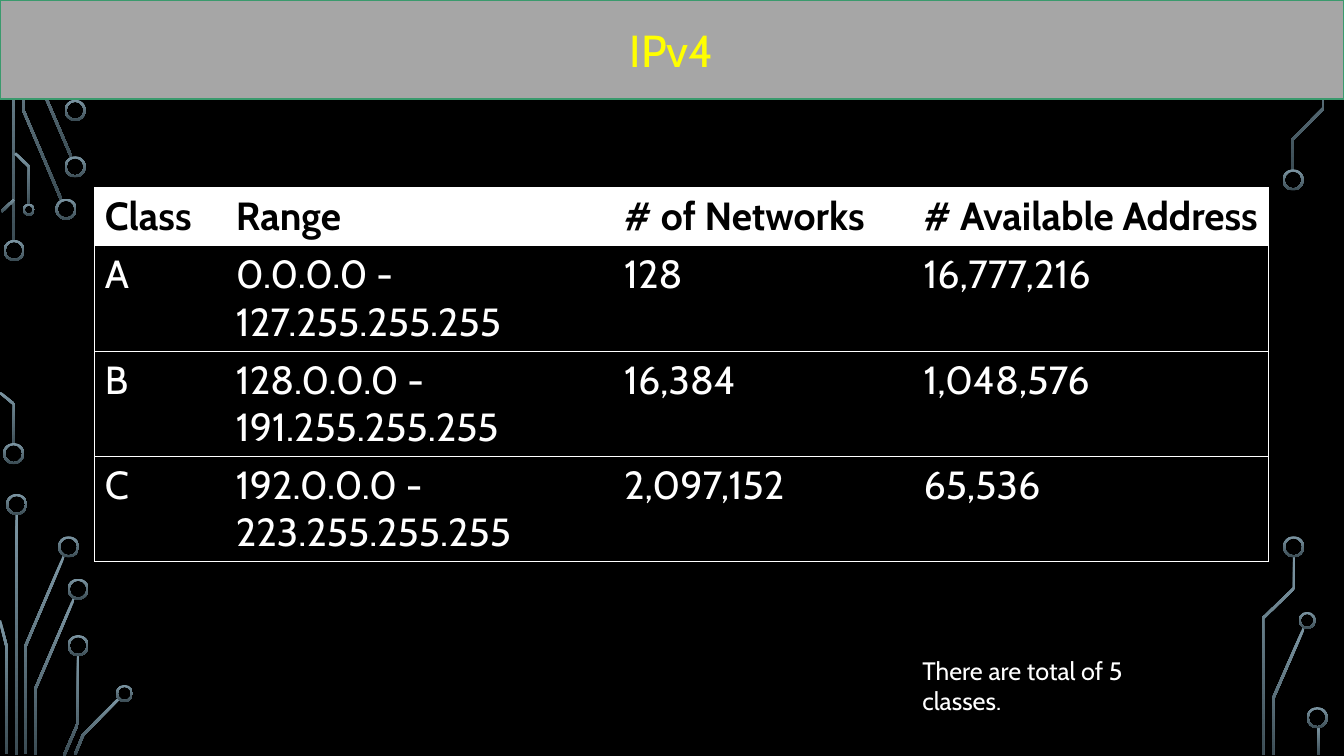
from math import hypot

from lxml.etree import SubElement
from pptx import Presentation
from pptx.dml.color import RGBColor
from pptx.enum.shapes import MSO_SHAPE
from pptx.enum.text import MSO_ANCHOR, PP_ALIGN
from pptx.oxml.ns import qn
from pptx.util import Inches, Pt

THEME = {
    "font": "Cabin", "title_size": 32, "table_size": 28, "note_size": 18,
    "dark": "000000", "light": "FFFFFF", "title": "FFFF00",
    "band": "A6A6A6", "band_line": "3A9A6D",
    "circuit": ("7C96A3", "3B4C54"),
}
UNIT = Inches(0.01)  # the drawing grid has 100 units to the inch
TRACE_WIDTH = 2.5
RING_WIDTH = 2


def add_run(paragraph, text, size, color, bold=False):
    run = paragraph.add_run()
    run.text = text
    run.font.name = THEME["font"]
    run.font.size = Pt(size)
    run.font.bold = bold
    run.font.color.rgb = RGBColor.from_string(color)


def paint_circuit(shape):
    shape.shadow.inherit = False
    shape.line.fill.background()
    shape.fill.gradient()
    shape.fill.gradient_angle = 270
    for stop, color in zip(shape.fill.gradient_stops, THEME["circuit"]):
        stop.color.rgb = RGBColor.from_string(color)


presentation = Presentation()
presentation.slide_width = Inches(13.33)
presentation.slide_height = Inches(7.5)
slide = presentation.slides.add_slide(presentation.slide_layouts[6])
slide.background.fill.solid()
slide.background.fill.fore_color.rgb = RGBColor.from_string(THEME["dark"])

# Circuit traces: centre lines, widened to bands with mitred corners
traces = [
    [(13.5, 1), (13.5, 240)],
    [(23, 1), (23, 109), (61, 198.5)],
    [(32.5, 1), (32.5, 66.5), (71, 156.5)],
    [(61, 0.5), (74.5, 33), (74.5, 100)],
    [(1.5, 210), (14, 198)],
    [(0, 389.5), (14, 401), (14, 441)],
    [(15, 152), (29, 165.5), (29, 203)],
    [(16.5, 510), (16.5, 749)],
    [(25.5, 748), (25.5, 640.5), (63.5, 551.5)],
    [(0, 615.5), (6.5, 641), (6.5, 748)],
    [(35.5, 749), (35.5, 682.5), (73.5, 593.5)],
    [(63.5, 749.5), (77.5, 717), (77.5, 650)],
    [(74.5, 748.5), (82.5, 729), (118, 693)],
    [(1262.5, 749), (1262.5, 693.5), (1293, 623.5)],
    [(1282, 169), (1282, 138.5), (1312.5, 107.5), (1312.5, 1)],
    [(1252.5, 749), (1252.5, 613.5), (1283.5, 583.5), (1283.5, 552)],
    [(1307.5, 721), (1307.5, 749)],
]
for trace in traces:
    normals = []
    for (x1, y1), (x2, y2) in zip(trace, trace[1:]):
        length = hypot(x2 - x1, y2 - y1)
        normals.append(((y1 - y2) / length, (x2 - x1) / length))
    one_side, other_side = [], []
    for (x, y), before, after in zip(trace, normals[:1] + normals, normals + normals[-1:]):
        reach = TRACE_WIDTH / 2 / (1 + before[0] * after[0] + before[1] * after[1])
        dx, dy = (before[0] + after[0]) * reach, (before[1] + after[1]) * reach
        one_side.append(((x + dx) * UNIT, (y + dy) * UNIT))
        other_side.append(((x - dx) * UNIT, (y - dy) * UNIT))
    outline = one_side + other_side[::-1]
    builder = slide.shapes.build_freeform(*outline[0])
    builder.add_line_segments(outline[1:], close=True)
    paint_circuit(builder.convert_to_shape())

# Ring ends of the traces, by diameter
rings = {
    21: [(14, 248.5), (13.5, 450), (65.5, 207.5), (74.5, 165.5), (74.5, 109.5),
         (16.5, 500.5), (68, 542.5), (77.5, 584.5), (77.5, 640.5),
         (1282.5, 178.5), (1283, 542.5), (1306.5, 712)],
    17: [(123.5, 688), (1296.5, 615.5)],
    12: [(28.5, 208)],
}
for diameter, centres in rings.items():
    for x, y in centres:
        ring = slide.shapes.add_shape(
            MSO_SHAPE.DONUT, int((x - diameter / 2) * UNIT), int((y - diameter / 2) * UNIT),
            diameter * UNIT, diameter * UNIT)
        ring.adjustments[0] = RING_WIDTH / diameter
        paint_circuit(ring)

# Title band
band = slide.shapes.add_shape(
    MSO_SHAPE.RECTANGLE, 0, 0, presentation.slide_width, Inches(0.98))
band.shadow.inherit = False
band.fill.solid()
band.fill.fore_color.rgb = RGBColor.from_string(THEME["band"])
band.line.color.rgb = RGBColor.from_string(THEME["band_line"])
band.line.width = Pt(1.25)
band.text_frame.vertical_anchor = MSO_ANCHOR.MIDDLE
band.text_frame.paragraphs[0].alignment = PP_ALIGN.CENTER
add_run(band.text_frame.paragraphs[0], "IPv4", THEME["title_size"], THEME["title"])

# Address class table
address_rows = [
    ("Class", "Range", "# of Networks", "# Available Address"),
    ("A", "0.0.0.0 - 127.255.255.255", "128", "16,777,216"),
    ("B", "128.0.0.0 - 191.255.255.255", "16,384", "1,048,576"),
    ("C", "192.0.0.0 - 223.255.255.255", "2,097,152", "65,536"),
]
column_widths = [1.3, 3.85, 2.97, 3.52]
row_heights = [0.58] + [1.04] * 3
table = slide.shapes.add_table(
    len(row_heights), len(column_widths), Inches(0.94), Inches(1.86),
    Inches(sum(column_widths)), Inches(sum(row_heights))).table
table.horz_banding = False
for column, width in zip(table.columns, column_widths):
    column.width = Inches(width)
for row, height in zip(table.rows, row_heights):
    row.height = Inches(height)
for row_index, texts in enumerate(address_rows):
    header = row_index == 0
    for column_index, text in enumerate(texts):
        cell = table.cell(row_index, column_index)
        properties = cell._tc.get_or_add_tcPr()
        sides = {"a:lnL": column_index == 0, "a:lnR": column_index == len(texts) - 1,
                 "a:lnT": True, "a:lnB": True}
        for side, visible in sides.items():
            border = SubElement(properties, qn(side), w=str(Pt(0.75)))
            if visible:
                fill = SubElement(border, qn("a:solidFill"))
                SubElement(fill, qn("a:srgbClr"), val=THEME["light"])
            else:
                SubElement(border, qn("a:noFill"))
        if header:
            cell.fill.solid()
            cell.fill.fore_color.rgb = RGBColor.from_string(THEME["light"])
        else:
            cell.fill.background()
        add_run(cell.text_frame.paragraphs[0], text, THEME["table_size"],
                THEME["dark"] if header else THEME["light"], bold=header)

# Note below the table
note = slide.shapes.add_textbox(Inches(9.05), Inches(6.45), Inches(3), Inches(0.4))
note.text_frame.word_wrap = True
add_run(note.text_frame.paragraphs[0], "There are total of 5 classes.",
        THEME["note_size"], THEME["light"])

presentation.save("out.pptx")
